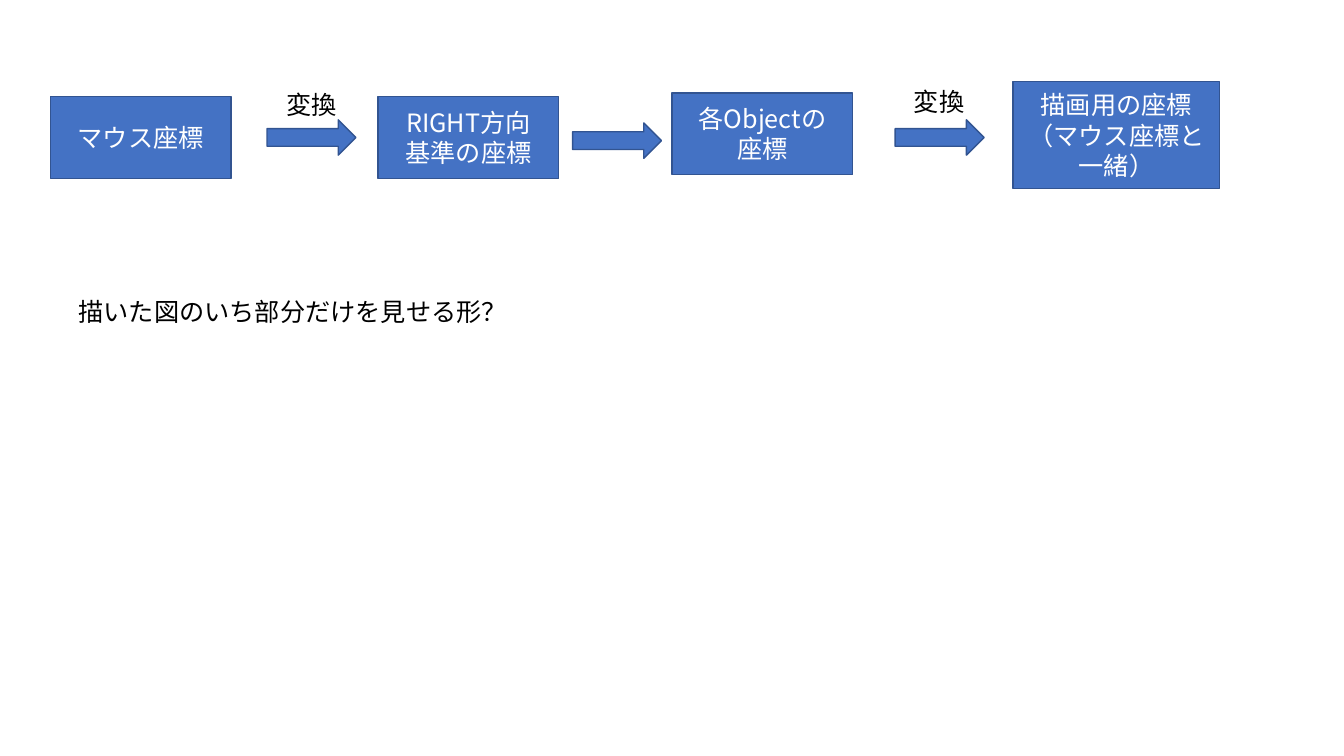
from lxml.etree import SubElement
from pptx import Presentation
from pptx.dml.color import RGBColor
from pptx.enum.shapes import MSO_SHAPE as Shape
from pptx.enum.text import MSO_ANCHOR as Anchor, MSO_AUTO_SIZE as AutoSize, PP_ALIGN as Align
from pptx.oxml.ns import qn
from pptx.util import Cm, Pt

BLUE = RGBColor(0x44, 0x72, 0xC4)
EDGE = RGBColor(0x32, 0x54, 0x91)
WHITE = RGBColor(0xFF, 0xFF, 0xFF)
BLACK = RGBColor(0, 0, 0)
FONT = "Noto Sans CJK JP"


def write(tf, text, color, align):
    """Fill a text frame and format its runs."""
    tf.text = text
    for p in tf.paragraphs:
        p.alignment = align
        p.line_spacing = Pt(21.6)
        for r in p.runs:
            r.font.size = Pt(18)
            r.font.name = FONT
            r.font.color.rgb = color
            SubElement(r.font._element, qn("a:ea"), typeface=FONT)


def add_block(s, kind, x, y, w, h):
    """Add a blue preset shape with a thin dark edge."""
    sp = s.shapes.add_shape(kind, Cm(x), Cm(y), Cm(w), Cm(h))
    sp.shadow.inherit = False
    sp.fill.solid()
    sp.fill.fore_color.rgb = BLUE
    sp.line.color.rgb = EDGE
    sp.line.width = Pt(1)
    return sp


def add_label(s, text, x, y, w, h):
    """Add unwrapped black text that sizes its box."""
    tf = s.shapes.add_textbox(Cm(x), Cm(y), Cm(w), Cm(h)).text_frame
    tf.word_wrap = False
    tf.auto_size = AutoSize.SHAPE_TO_FIT_TEXT
    write(tf, text, BLACK, Align.LEFT)


def add_flow(s, left, top):
    """Place the coordinate boxes, the arrows and their labels."""
    steps = [
        ("マウス座標", 0, 0.38, 4.55, 2.06),
        ("RIGHT方向\n基準の座標", 8.26, 0.38, 4.55, 2.06),
        ("各Objectの\n座標", 15.67, 0.28, 4.55, 2.06),
        ("描画用の座標\n(マウス座標と一緒)".replace("(", "（").replace(")", "）"), 24.26, 0, 5.21, 2.69),
    ]
    for text, x, y, w, h in steps:
        tf = add_block(s, Shape.RECTANGLE, left + x, top + y, w, h).text_frame
        tf.vertical_anchor = Anchor.MIDDLE
        tf.word_wrap = True
        write(tf, text, WHITE, Align.CENTER)
    for x, y in [(5.46, 0.96), (13.16, 1.04), (21.29, 0.96)]:
        add_block(s, Shape.RIGHT_ARROW, left + x, top + y, 2.24, 0.89)
    for x, y in [(5.69, 0.07), (21.51, 0)]:
        add_label(s, "変換", left + x, top + y, 1.8, 1.02)


def main():
    """Build and save the slide."""
    prs = Presentation()
    prs.slide_width, prs.slide_height = Cm(33.87), Cm(19.05)
    s = prs.slides.add_slide(prs.slide_layouts[6])
    add_flow(s, 1.27, 2.06)
    add_label(s, "描いた図のいち部分だけを見せる形？", 1.73, 7.34, 11.4, 2.57)
    prs.save("out.pptx")


main()
